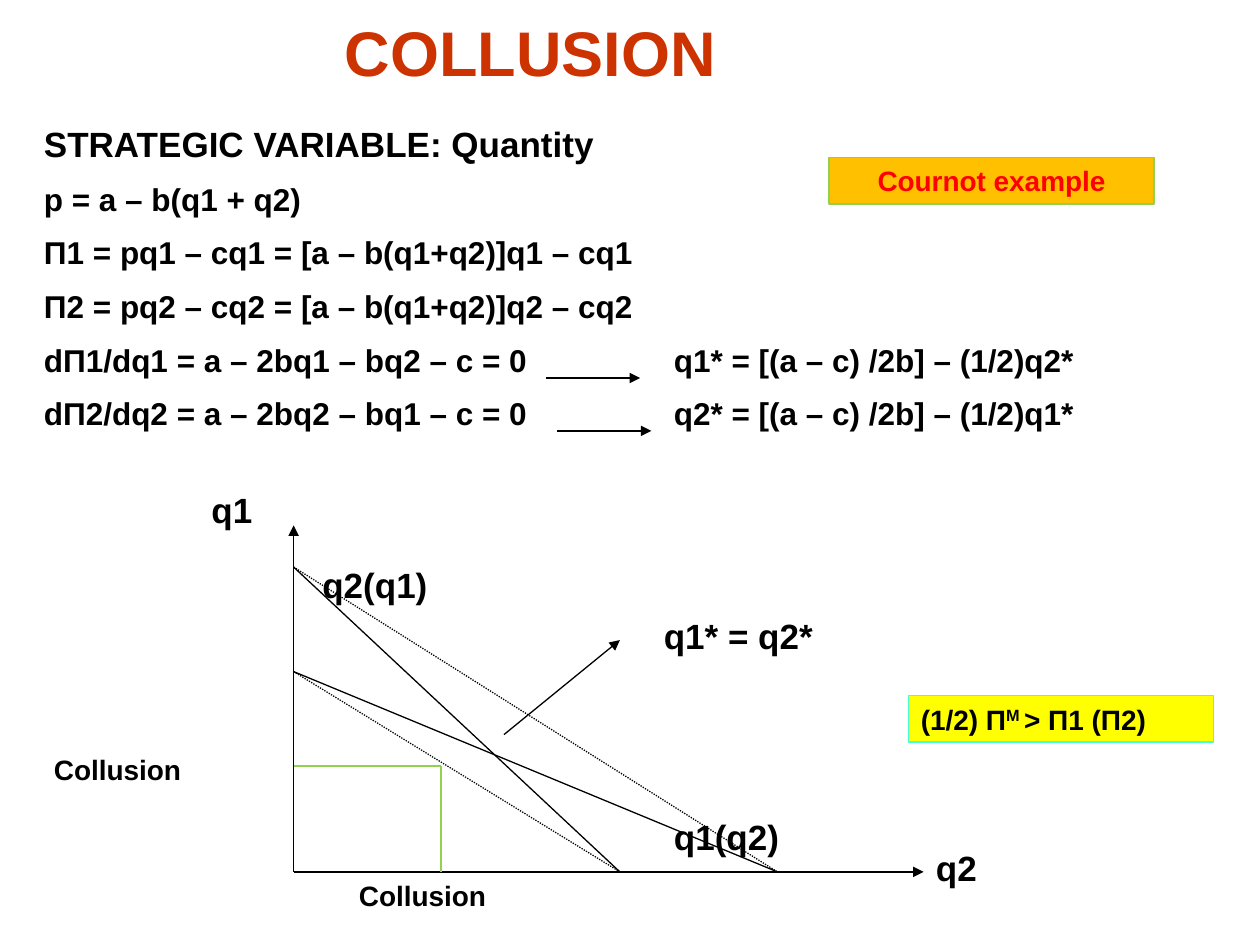
from dataclasses import dataclass

from lxml import etree
from pptx import Presentation
from pptx import util as u
from pptx.dml.color import RGBColor
from pptx.enum import dml, shapes, text
from pptx.oxml.ns import qn


@dataclass(frozen=True)
class Theme:
    """Colours, font and type sizes of the slide."""
    font: str = "Arial"
    ink: str = "000000"
    title: str = "CC3300"
    accent: str = "FF0000"
    green: str = "92D050"
    aqua: str = "47FFD1"
    amber: str = "FFC000"
    yellow: str = "FFFF00"
    title_size: int = 36
    heading_size: int = 20
    body_size: int = 18
    note_size: int = 16
    body_gap: int = 9
    line_width: float = 0.75


THEME = Theme()
EQUATIONS = (
    "p = a – b(q1 + q2)",
    "Π1 = pq1 – cq1 = [a – b(q1+q2)]q1 – cq1",
    "Π2 = pq2 – cq2 = [a – b(q1+q2)]q2 – cq2",
    "dΠ1/dq1 = a – 2bq1 – bq2 – c = 0\t\tq1* = [(a – c) /2b] – (1/2)q2*",
    "dΠ2/dq2 = a – 2bq2 – bq1 – c = 0\t\tq2* = [(a – c) /2b] – (1/2)q1*",
)
TAB_STOPS = (4, 5)
ORIGIN = (2.33, 6.92)
HIGH, LOW = 4.5, 5.33
NEAR, FAR = 4.92, 6.17
COLLUSION = (3.5, 6.08)


def style(p, size, color=THEME.ink, align=text.PP_ALIGN.LEFT):
    """Set the font and alignment of a paragraph."""
    p.alignment = align
    p.font.name, p.font.size, p.font.bold = THEME.font, u.Pt(size), True
    p.font.color.rgb = RGBColor.from_string(color)


def add_tabs(p, stops):
    """Give a styled paragraph left tab stops, in inches."""
    tabs = etree.Element(qn("a:tabLst"))
    for stop in stops:
        etree.SubElement(tabs, qn("a:tab"), pos=str(u.Inches(stop)), algn="l")
    p._p.pPr.find(qn("a:defRPr")).addprevious(tabs)


def add_title(s, title):
    """Place and format the title placeholder."""
    sp = s.shapes.title
    sp.left, sp.top, sp.width, sp.height = map(u.Inches, (0.67, 0.05, 7.08, 0.71))
    tf = sp.text_frame
    tf.text = title
    tf.auto_size = text.MSO_AUTO_SIZE.NONE
    tf.vertical_anchor = text.MSO_ANCHOR.MIDDLE
    style(tf.paragraphs[0], THEME.title_size, THEME.title, text.PP_ALIGN.CENTER)


def add_text(s, box, lines):
    """Add a text box from (text, size) lines."""
    tf = s.shapes.add_textbox(*map(u.Inches, box)).text_frame
    tf.word_wrap = True
    for i, (line, size) in enumerate(lines):
        p = tf.add_paragraph() if i else tf.paragraphs[0]
        p.text = line
        if i:
            p.space_before = u.Pt(THEME.body_gap)
        style(p, size)
        if "\t" in line:
            add_tabs(p, TAB_STOPS)


def add_callout(s, box, runs, fill, line, color, align):
    """Add a filled box from (text, superscript) runs."""
    sp = s.shapes.add_shape(shapes.MSO_SHAPE.RECTANGLE, *map(u.Inches, box))
    sp.shadow.inherit = False
    sp.fill.solid()
    sp.fill.fore_color.rgb = RGBColor.from_string(fill)
    sp.line.color.rgb = RGBColor.from_string(line)
    sp.line.width = u.Pt(THEME.line_width)
    tf = sp.text_frame
    tf.word_wrap = True
    p = tf.paragraphs[0]
    style(p, THEME.note_size, color, align)
    for words, superscript in runs:
        r = p.add_run()
        r.text = words
        if superscript:
            r._r.get_or_add_rPr().set("baseline", "30000")


def add_line(s, start, end, color=THEME.ink, arrow=False, dotted=False):
    """Add a straight line, with an optional arrowhead at its end."""
    sp = s.shapes.add_connector(
        shapes.MSO_CONNECTOR.STRAIGHT, *map(u.Inches, (*start, *end)))
    sp.line.color.rgb = RGBColor.from_string(color)
    sp.line.width = u.Pt(THEME.line_width)
    if dotted:
        sp.line.dash_style = dml.MSO_LINE.ROUND_DOT
    if arrow:
        etree.SubElement(sp.line._get_or_add_ln(), qn("a:tailEnd"), type="triangle")
    etree.SubElement(sp._element.spPr, qn("a:effectLst"))


def add_diagram(s):
    """Draw the axes, reaction curves and collusion point."""
    x0, y0 = ORIGIN
    add_line(s, ORIGIN, (x0, 4.17), arrow=True)
    add_line(s, ORIGIN, (7.33, y0), arrow=True)
    for top, right, dotted in ((HIGH, NEAR, False), (LOW, FAR, False),
                               (HIGH, FAR, True), (LOW, NEAR, True)):
        add_line(s, (x0, top), (right, y0), dotted=dotted)
    add_line(s, (4, 5.83), (4.92, 5.08), arrow=True)
    x, y = COLLUSION
    add_line(s, (x0, y), COLLUSION, THEME.green)
    add_line(s, COLLUSION, (x, y0), THEME.green)
    for label, left, top, width in (("q1", 1.58, 3.83, 0.92),
                                    ("q2", 7.33, 6.67, 1.08),
                                    ("q2(q1)", 2.46, 4.42, 1.25),
                                    ("q1(q2)", 5.25, 6.42, 1.42),
                                    ("q1* = q2*", 5.17, 4.83, 1.58)):
        add_text(s, (left, top, width, 0.43), [(label, THEME.heading_size)])
    for left, top in ((0.33, 5.92), (2.75, 6.92)):
        add_text(s, (left, top, 1.75, 0.37), [("Collusion", THEME.note_size)])


def main():
    """Build and save the slide."""
    prs = Presentation()
    prs.slide_width, prs.slide_height = u.Inches(10), u.Inches(7.5)
    s = prs.slides.add_slide(prs.slide_layouts[5])
    add_title(s, "COLLUSION")
    add_text(s, (0.25, 0.92, 9.42, 3.21),
             [("STRATEGIC VARIABLE: Quantity", THEME.heading_size)]
             + [(line, THEME.body_size) for line in EQUATIONS])
    for x, y in ((4.33, 3), (4.42, 3.42)):
        add_line(s, (x, y), (x + 0.75, y), arrow=True)
    add_diagram(s)
    add_callout(s, (7.21, 5.52, 2.42, 0.37),
                [("(1/2) Π", False), ("M ", True), ("> Π1 (Π2)", False)],
                THEME.yellow, THEME.aqua, THEME.ink, text.PP_ALIGN.LEFT)
    add_callout(s, (6.58, 1.25, 2.58, 0.37), [("Cournot example", False)],
                THEME.amber, THEME.green, THEME.accent, text.PP_ALIGN.CENTER)
    prs.save("out.pptx")


if __name__ == "__main__":
    main()
